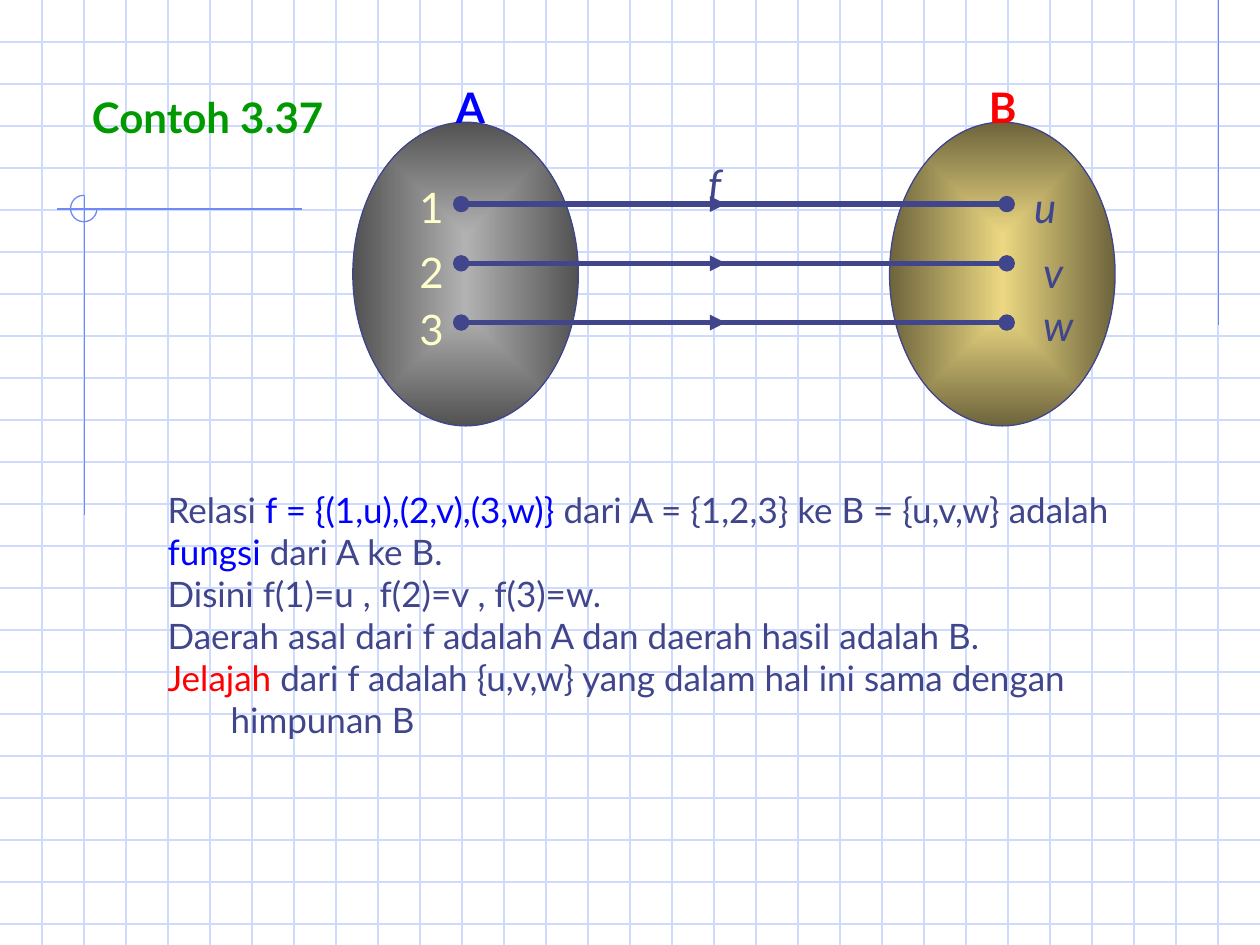
from typing import NamedTuple

from lxml.etree import SubElement
from pptx import Presentation
from pptx.dml.color import RGBColor
from pptx.enum.shapes import MSO_CONNECTOR as Link, MSO_SHAPE as Kind
from pptx.enum.text import MSO_ANCHOR as Anchor, MSO_AUTO_SIZE as Fit, PP_ALIGN as Align
from pptx.oxml.ns import qn
from pptx.util import Inches, Pt

FONT = "Lato"
INK, BLUE, RED, GREEN, CREAM = "40458C", "0000FF", "FF0000", "009900", "FFFFCC"
GRID, TRIM = "CFDBFD", "6F89F7"
WIDE, HIGH, STEP = 10, 7.5, 1 / 3
LEFT, MID, RIGHT = 3.66, 5.76, 7.99
DOT = 0.12


class Oval(NamedTuple):
    x: float
    core: str
    rim: str


class Label(NamedTuple):
    text: str
    x: float
    y: float
    wide: float
    color: str
    bold: bool = False
    italic: bool = False


OVALS = [Oval(2.8, "B2B2B2", "525252"), Oval(7.06, "ECD882", "6D643C")]
ROWS = [1.62, 2.09, 2.56]
LABELS = [
    Label("A", 3.52, 0.6, 0.43, BLUE, bold=True),
    Label("B", 7.75, 0.6, 0.42, RED, bold=True),
    Label("1", 3.23, 1.39, 0.39, CREAM),
    Label("2", 3.23, 1.91, 0.39, CREAM),
    Label("3", 3.23, 2.36, 0.39, CREAM),
    Label("f", 5.52, 1.21, 0.3, INK, italic=True),
    Label("u", 8.11, 1.39, 0.39, INK, italic=True),
    Label("v", 8.18, 1.91, 0.35, INK, italic=True),
    Label("w", 8.18, 2.33, 0.44, INK, italic=True),
]
TITLE = Label("Contoh 3.37", 0.63, 0.68, 2.16, GREEN, bold=True)
BODY = [
    [("Relasi ", INK), ("f = {(1,u),(2,v),(3,w)}", BLUE),
     (" dari A = {1,2,3} ke B = {u,v,w} adalah", INK)],
    [("fungsi", BLUE), (" dari A ke B.", INK)],
    [("Disini f(1)=u , f(2)=v , f(3)=w.", INK)],
    [("Daerah asal dari f adalah A dan daerah hasil adalah B.", INK)],
    [("Jelajah", RED), (" dari f adalah {u,v,w} yang dalam hal ini sama dengan", INK)],
    [("\thimpunan B", INK)],
]


def rgb(color: str) -> RGBColor:
    return RGBColor.from_string(color)


def place(shape, x: float, y: float, wide: float, high: float) -> None:
    shape.left, shape.top = Inches(x), Inches(y)
    shape.width, shape.height = Inches(wide), Inches(high)


def add_line(slide, x1: float, y1: float, x2: float, y2: float,
             color: str, size: float = 0.75, arrow: bool = False) -> None:
    line = slide.shapes.add_connector(
        Link.STRAIGHT, Inches(x1), Inches(y1), Inches(x2), Inches(y2))
    line.line.color.rgb = rgb(color)
    line.line.width = Pt(size)
    if arrow:
        SubElement(line.line._get_or_add_ln(), qn("a:tailEnd"), type="triangle")
    SubElement(line._element.spPr, qn("a:effectLst"))


def add_round(slide, kind, x: float, y: float, wide: float, high: float, color: str):
    shape = slide.shapes.add_shape(
        kind, Inches(x), Inches(y), Inches(wide), Inches(high))
    shape.shadow.inherit = False
    shape.line.color.rgb = rgb(color)
    shape.line.width = Pt(0.75)
    return shape


def add_paper(slide) -> None:
    """Draw the squared paper and its margin marks."""
    for n in range(1, 23):
        add_line(slide, 0, n * STEP, WIDE, n * STEP, GRID)
    for n in range(1, 30):
        add_line(slide, n * STEP, 0, n * STEP, HIGH, GRID)
    add_line(slide, 9.67, 0, 9.67, 2.58, TRIM)
    add_line(slide, 2.4, 1.66, 0.45, 1.66, TRIM)
    add_line(slide, 0.67, 1.55, 0.67, 4.09, TRIM)
    arc = add_round(slide, Kind.ARC, 0.56, 1.55, 0.21, 0.21, TRIM)
    arc.fill.background()
    arc.adjustments[0] = 0
    arc.adjustments[1] = 162  # 270 degrees


def add_oval(slide, oval: Oval) -> None:
    shape = add_round(slide, Kind.OVAL, oval.x, 0.97, 1.79, 2.41, INK)
    shape.fill.gradient()
    for stop, color in zip(shape.fill.gradient_stops, (oval.core, oval.rim)):
        stop.color.rgb = rgb(color)
    grad = shape._element.spPr.find(qn("a:gradFill"))
    grad.remove(grad.find(qn("a:lin")))
    route = SubElement(grad, qn("a:path"), path="rect")
    SubElement(route, qn("a:fillToRect"), l="50000", t="50000", r="50000", b="50000")


def add_row(slide, y: float) -> None:
    """Draw one mapping: a line, its arrow and a dot at each end."""
    add_line(slide, LEFT, y, RIGHT, y, INK, 3)
    add_line(slide, LEFT, y, MID, y, INK, 3, arrow=True)
    for x in (LEFT, RIGHT):
        dot = add_round(slide, Kind.OVAL, x - DOT / 2, y - DOT / 2, DOT, DOT, INK)
        dot.fill.solid()
        dot.fill.fore_color.rgb = rgb(INK)


def set_label(shape, label: Label) -> None:
    place(shape, label.x, label.y, label.wide, 0.5)
    frame = shape.text_frame
    frame.text = label.text
    frame.word_wrap = False
    frame.auto_size = Fit.NONE
    frame.vertical_anchor = Anchor.TOP
    para = frame.paragraphs[0]
    para.alignment = Align.LEFT
    font = para.font
    font.name, font.size = FONT, Pt(24)
    font.bold, font.italic = label.bold, label.italic
    font.color.rgb = rgb(label.color)


def set_body(shape) -> None:
    place(shape, 1.23, 3.83, 8.29, 2.1)
    frame = shape.text_frame
    frame.word_wrap = False
    frame.auto_size = Fit.NONE
    for n, runs in enumerate(BODY):
        para = frame.add_paragraph() if n else frame.paragraphs[0]
        para.alignment = Align.LEFT
        para.space_before = Pt(0)
        props = para._p.get_or_add_pPr()
        props.set("marL", "0")
        props.set("indent", "0")
        SubElement(props, qn("a:buNone"))
        tabs = SubElement(props, qn("a:tabLst"))
        SubElement(tabs, qn("a:tab"), pos=str(Inches(1)), algn="l")
        para.font.name, para.font.size = FONT, Pt(20)
        for text, color in runs:
            run = para.add_run()
            run.text = text
            run.font.color.rgb = rgb(color)


def main() -> None:
    deck = Presentation()
    deck.slide_width, deck.slide_height = Inches(WIDE), Inches(HIGH)
    slide = deck.slides.add_slide(deck.slide_layouts[1])
    title, body = slide.placeholders
    add_paper(slide)
    for oval in OVALS:
        add_oval(slide, oval)
    for y in ROWS:
        add_row(slide, y)
    for label in LABELS:
        set_label(slide.shapes.add_textbox(0, 0, 0, 0), label)
    set_label(title, TITLE)
    set_body(body)
    for shape in (title, body):  # bring the text in front of the paper
        slide.shapes._spTree.append(shape._element)
    deck.save("out.pptx")


if __name__ == "__main__":
    main()
